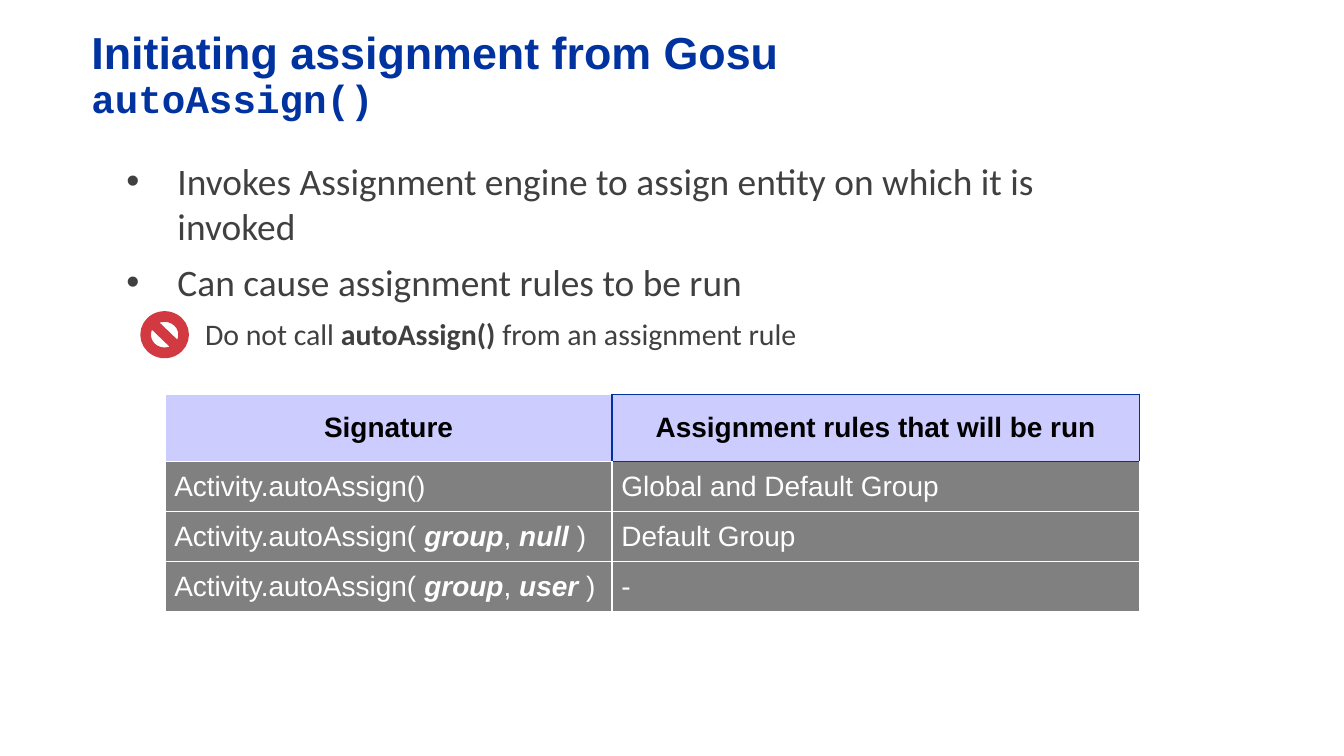
from lxml.etree import SubElement
from pptx import Presentation
from pptx.dml.color import RGBColor
from pptx.enum.shapes import MSO_SHAPE as Shape
from pptx.enum.text import MSO_ANCHOR as Anchor, MSO_AUTO_SIZE as AutoSize, PP_ALIGN as Align
from pptx.oxml.ns import qn
from pptx.util import Pt

COLORS = {
    "title": "0033A0",
    "body": "404040",
    "header": "CCCCFF",
    "header_text": "000000",
    "row": "808080",
    "white": "FFFFFF",
    "warning": "D33941",
}
BULLETS = [
    "Invokes Assignment engine to assign entity on which it is invoked",
    "Can cause assignment rules to be run",
]
WARNING = ["Do not call ", "autoAssign() ", "from an assignment rule"]
ROWS = [
    (["Signature"], ["Assignment rules that will be run"]),
    (["Activity.autoAssign()"], ["Global and Default Group"]),
    (["Activity.autoAssign( ", "group", ", ", "null ", ")"], ["Default Group"]),
    (["Activity.autoAssign( ", "group", ", ", "user ", ")"], ["-"]),
]
COLUMN_WIDTHS = [239.5, 282.5]
ROW_HEIGHTS = [36, 26.8, 26.8, 26.8]


def rgb(name):
    """Return the named colour."""
    return RGBColor.from_string(COLORS[name])


def format_run(run, font, size, color, bold=False, italic=False):
    """Set the character formatting of a run."""
    run.font.name = font
    run.font.size = Pt(size)
    run.font.color.rgb = rgb(color)
    run.font.bold = bold
    run.font.italic = italic


def write_segments(paragraph, segments, font, size, color, bold=False, italic=False):
    """Write runs in which every second segment is emphasised."""
    for index, segment in enumerate(segments):
        run = paragraph.add_run()
        run.text = segment
        emphasised = index % 2 == 1
        format_run(run, font, size, color, bold or emphasised, italic and emphasised)


def prepare_frame(text_frame):
    """Make a text frame wrap at its edges and start at the top."""
    text_frame.word_wrap = True
    text_frame.auto_size = AutoSize.NONE
    text_frame.vertical_anchor = Anchor.TOP
    text_frame.margin_left = text_frame.margin_right = 0
    text_frame.margin_top = text_frame.margin_bottom = 0


def add_title(slide):
    """Place the two-line title in its placeholder."""
    title = slide.shapes.title
    title.left, title.top, title.width, title.height = Pt(49), Pt(16.6), Pt(655), Pt(44)
    prepare_frame(title.text_frame)
    title.text_frame.text = "Initiating assignment from Gosu\vautoAssign()"
    paragraph = title.text_frame.paragraphs[0]
    paragraph.alignment = Align.LEFT
    paragraph.line_spacing = 0.9
    for run, font, size in zip(paragraph.runs, ("Arial", "Courier New"), (24, 21)):
        format_run(run, font, size, "title", bold=True)


def set_indent(paragraph, margin, indent=0, bullet=None):
    """Set the paragraph indents and an optional bullet."""
    properties = paragraph._p.get_or_add_pPr()
    properties.set("marL", str(Pt(margin)))
    properties.set("indent", str(Pt(indent)))
    if bullet:
        SubElement(properties, qn("a:buFont"), typeface="Arial")
        SubElement(properties, qn("a:buChar"), char=bullet)


def add_body(slide):
    """Add the bullets and the warning line below them."""
    text_frame = slide.shapes.add_textbox(Pt(67.7), Pt(85), Pt(526), Pt(77)).text_frame
    prepare_frame(text_frame)
    text_frame.text = "\n".join(BULLETS)
    for paragraph in text_frame.paragraphs:
        set_indent(paragraph, 27.4, -27.4, "•")
        format_run(paragraph.runs[0], "Calibri", 20, "body")
    warning = text_frame.add_paragraph()
    set_indent(warning, 42.2)
    write_segments(warning, WARNING, "Calibri", 16, "body")
    for paragraph in text_frame.paragraphs[1:]:
        paragraph.space_before = Pt(6)


def add_prohibition_sign(slide):
    """Add the red sign beside the warning line."""
    sign = slide.shapes.add_shape(Shape.NO_SYMBOL, Pt(76.3), Pt(167.8), Pt(23.8), Pt(23))
    sign.adjustments[0] = 0.15
    sign.shadow.inherit = False
    sign.fill.solid()
    sign.fill.fore_color.rgb = rgb("warning")
    sign.line.color.rgb = rgb("warning")
    sign.line.width = Pt(2.25)


def set_borders(cell, colors):
    """Draw the left, right, top and bottom borders of a cell."""
    properties = cell._tc.get_or_add_tcPr()
    for index, (side, color) in enumerate(zip(("lnL", "lnR", "lnT", "lnB"), colors)):
        line = properties.makeelement(qn(f"a:{side}"), {"w": str(Pt(1))})
        fill = SubElement(line, qn("a:solidFill"))
        SubElement(fill, qn("a:srgbClr"), val=COLORS[color])
        properties.insert(index, line)


def border_colors(row, column):
    """Return border colours that frame the last header cell in blue."""
    if (row, column) == (0, 1):
        return ["title"] * 4
    right = "title" if row == 0 else "white"
    top = "title" if (row, column) == (1, 1) else "white"
    return ["white", right, top, "white"]


def format_cell(cell, segments, is_header):
    """Fill a table cell and write its text."""
    cell.fill.solid()
    cell.fill.fore_color.rgb = rgb("header" if is_header else "row")
    cell.vertical_anchor = Anchor.MIDDLE
    cell.margin_left = Pt(0 if is_header else 5)
    cell.margin_right = cell.margin_top = cell.margin_bottom = 0
    paragraph = cell.text_frame.paragraphs[0]
    paragraph.alignment = Align.CENTER if is_header else Align.LEFT
    color = "header_text" if is_header else "white"
    write_segments(paragraph, segments, "Arial", 15, color, bold=is_header, italic=True)


def add_signature_table(slide):
    """Add the table of signatures and the rules they run."""
    frame = slide.shapes.add_table(
        len(ROWS), len(COLUMN_WIDTHS), Pt(88.4), Pt(211.3),
        Pt(sum(COLUMN_WIDTHS)), Pt(sum(ROW_HEIGHTS)))
    table = frame.table
    table.first_row = table.horz_banding = False
    for column, width in zip(table.columns, COLUMN_WIDTHS):
        column.width = Pt(width)
    for row, height in zip(table.rows, ROW_HEIGHTS):
        row.height = Pt(height)
    for row, contents in enumerate(ROWS):
        for column, segments in enumerate(contents):
            cell = table.cell(row, column)
            format_cell(cell, segments, row == 0)
            set_borders(cell, border_colors(row, column))


def main():
    """Build and save the slide."""
    presentation = Presentation()
    presentation.slide_width, presentation.slide_height = Pt(720), Pt(405)
    slide = presentation.slides.add_slide(presentation.slide_layouts[5])
    add_title(slide)
    add_body(slide)
    add_signature_table(slide)
    add_prohibition_sign(slide)
    presentation.save("out.pptx")


if __name__ == "__main__":
    main()
